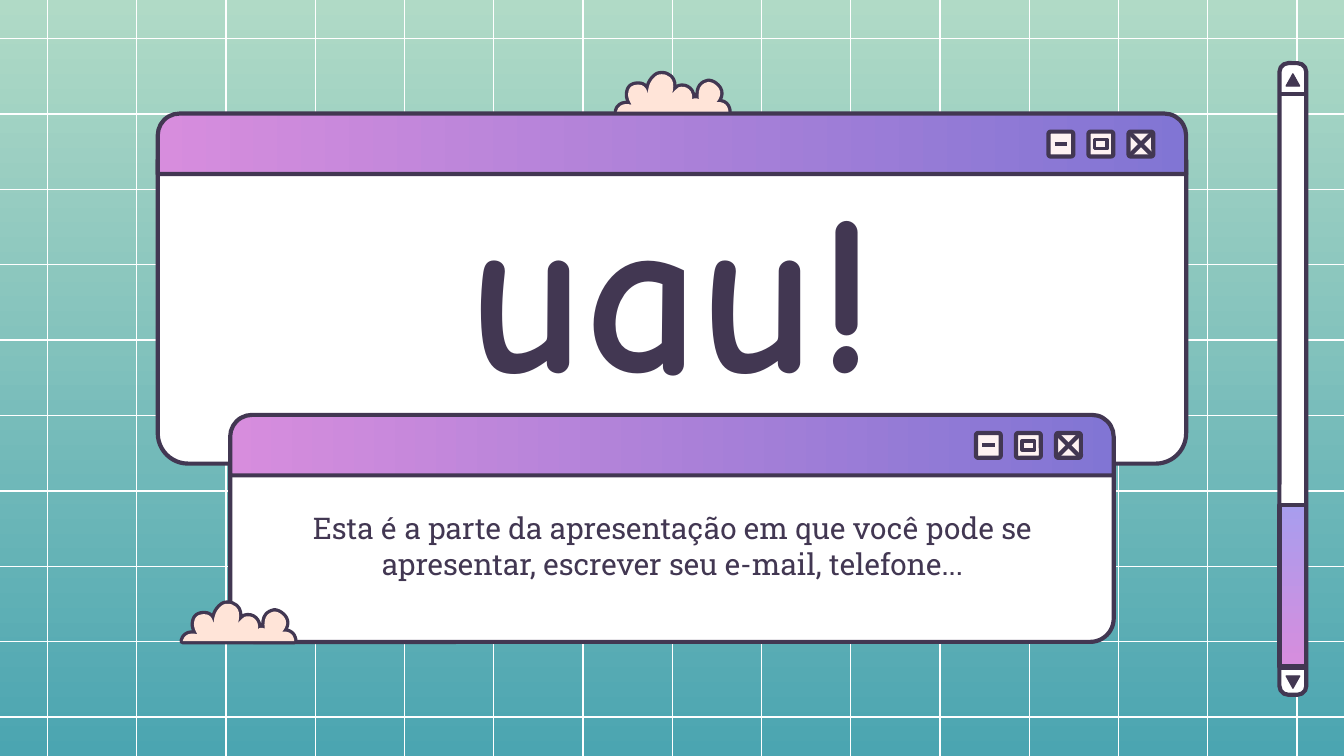
from lxml import etree
from pptx import Presentation
from pptx.dml.color import RGBColor
from pptx.enum import shapes, text
from pptx.oxml.ns import qn
from pptx.util import Inches, Pt

INK, WHITE, BUTTON, PEACH = "423752", "FFFFFF", "FEF2F2", "FFE4D8"
PINK, VIOLET, LILAC = "D78DDD", "8175D4", "A89DEE"
MINT, TEAL = "B0DAC6", "4BA5B1"
COLS, ROWS = 100, 56.25
SHAPE = shapes.MSO_SHAPE

CLOUD_START = (8.3, 0)
CLOUD_CURVES = [
    ((8.3, 0), (8.3, 0.8), (7.4, 0.7)),
    ((7.4, 0.7), (7.9, 1.2), (7.6, 1.7)),
    ((7.4, 2), (7.1, 2.2), (6.8, 2.2)),
    ((6.4, 2.1), (6, 1.9), (6.1, 0.9)),
    ((6.1, 0.9), (5.9, 1.1), (5.6, 0.9)),
    ((5.7, 1.5), (5.2, 2), (4.6, 1.8)),
    ((4.5, 1.7), (4.3, 1.6), (4.1, 1.3)),
    ((4.1, 1.3), (4.5, 2.4), (3.7, 2.7)),
    ((3.5, 2.8), (3.2, 2.8), (3, 2.7)),
    ((2.7, 2.5), (2.3, 2.1), (2.3, 1.2)),
    ((2.3, 1.2), (2.3, 2), (1.6, 2)),
    ((1.3, 2), (1, 1.9), (0.9, 1.6)),
    ((0.8, 1.3), (0.8, 1), (1.1, 0.5)),
    ((1.1, 0.5), (0.2, 0.8), (0, 0)),
]


def rgb(value):
    return RGBColor.from_string(value)


def apply(target, values):
    for name, value in values.items():
        setattr(target, name, value)


def trace(start, curves, steps=8):
    points = [start]
    for a, b, end in curves:
        first = points[-1]
        for i in range(1, steps + 1):
            t = i / steps
            weights = ((1 - t) ** 3, 3 * t * (1 - t) ** 2, 3 * t * t * (1 - t), t ** 3)
            points.append(tuple(
                sum(w * p[axis] for w, p in zip(weights, (first, a, b, end)))
                for axis in (0, 1)))
    return points


class Deck:
    stroke = 2.25
    frame = {
        "word_wrap": True,
        "auto_size": text.MSO_AUTO_SIZE.NONE,
        "vertical_anchor": text.MSO_ANCHOR.MIDDLE,
        "margin_left": Inches(0.1),
        "margin_right": Inches(0.1),
        "margin_top": Inches(0.1),
        "margin_bottom": Inches(0.1),
    }

    def __init__(self):
        self.prs = Presentation()
        apply(self.prs, {"slide_width": Inches(10), "slide_height": Inches(5.625)})
        self.cell = self.prs.slide_width / COLS
        self.s = self.prs.slides.add_slide(self.prs.slide_layouts[6])

    def grid(self, *cells):
        return [round(c * self.cell) for c in cells]

    def gradient(self, fill, colors, angle):
        fill.gradient()
        fill.gradient_angle = angle
        for stop, color, position in zip(fill.gradient_stops, colors, (0, 1)):
            stop.color.rgb = rgb(color)
            stop.position = position

    def outline(self, line, color, width):
        line.color.rgb = rgb(color)
        line.width = Pt(width)

    def style(self, sp, fill, width, angle=270):
        sp.shadow.inherit = False
        if fill is None:
            sp.fill.background()
        elif isinstance(fill, tuple):
            self.gradient(sp.fill, fill, angle)
        else:
            sp.fill.solid()
            sp.fill.fore_color.rgb = rgb(fill)
        if width:
            self.outline(sp.line, INK, width)
        else:
            sp.line.fill.background()

    def shape(self, kind, box, fill, adj=(), width=stroke, angle=270, rotation=0):
        sp = self.s.shapes.add_shape(kind, *self.grid(*box))
        for i, value in enumerate(adj):
            sp.adjustments[i] = value
        sp.rotation = rotation
        self.style(sp, fill, width, angle)

    def line(self, x1, y1, x2, y2, color=INK, width=stroke):
        sp = self.s.shapes.add_connector(
            shapes.MSO_CONNECTOR.STRAIGHT, *self.grid(x1, y1, x2, y2))
        self.outline(sp.line, color, width)
        etree.SubElement(sp._element.spPr, qn("a:effectLst"))

    def text(self, box, words, font):
        sp = self.s.shapes.add_textbox(*self.grid(*box))
        tf = sp.text_frame
        apply(tf, self.frame)
        p = tf.paragraphs[0]
        p.alignment = text.PP_ALIGN.CENTER
        r = p.add_run()
        r.text = words
        apply(r.font, font)
        r.font.color.rgb = rgb(INK)

    def cloud(self, x, base):
        points = [tuple(self.grid(x + px, base - py))
                  for px, py in trace(CLOUD_START, CLOUD_CURVES)]
        for fill, width in ((INK, 3.6), (PEACH, 0)):
            builder = self.s.shapes.build_freeform(*points[0], scale=1.0)
            builder.add_line_segments(points[1:], close=True)
            self.style(builder.convert_to_shape(), fill, width)

    def window(self, x, y, w, h, radius):
        body = h - 3.45
        self.shape(SHAPE.ROUND_2_SAME_RECTANGLE, (x, y + 3.45, w, body), WHITE, (0, radius))
        self.shape(SHAPE.ROUND_2_SAME_RECTANGLE, (x, y, w, 4.5), (VIOLET, PINK),
                   (0.36, 0), angle=180)
        top, side = y + 1.35, 1.85
        minimize, maximize, close = (x + w - 10.25 + 2.98 * i for i in range(3))
        for left in (minimize, maximize, close):
            self.shape(SHAPE.ROUNDED_RECTANGLE, (left, top, side, side), BUTTON, (0.09,))
        self.line(minimize + 0.46, top + side / 2, minimize + 1.39, top + side / 2)
        self.shape(SHAPE.RECTANGLE, (maximize + 0.46, top + 0.58, 0.93, 0.69), None, width=1.85)
        self.line(close, top, close + side, top + side)
        self.line(close + side, top, close, top + side)

    def background(self):
        self.gradient(self.s.background.fill, (MINT, TEAL), 270)
        for i in range(15):
            x = 3.54 + 6.64 * i
            self.line(x, 0, x, ROWS, WHITE, 0.75)
        for i in range(10):
            y = 2.87 + 5.61 * i
            self.line(0, y, COLS, y, WHITE, 0.75)

    def scrollbar(self, x, y, w, h):
        self.shape(SHAPE.ROUNDED_RECTANGLE, (x, y, w, h), WHITE, (0.33,))
        self.shape(SHAPE.RECTANGLE, (x, y + 32.9, w, 12), (LILAC, PINK))
        for top, divider, rotation in ((0.8, 2.3, 0), (h - 1.4, h - 2, 180)):
            self.shape(SHAPE.ISOSCELES_TRIANGLE, (x + 0.5, y + top, 1, 0.9), INK,
                       width=0.75, rotation=rotation)
            self.line(x - 0.1, y + divider, x + w + 0.1, y + divider)


def main():
    deck = Deck()
    deck.background()
    deck.scrollbar(95.2, 4.7, 2, 47)
    deck.window(11.74, 8.45, 76.52, 26.05, 0.1)
    deck.text((24.3, 14, 51.4, 14), "uau!",
              {"name": "Comic Neue", "size": Pt(121), "bold": True})
    deck.window(17.13, 30.87, 65.74, 16.9, 0.13)
    deck.text((22.2, 38.1, 55.7, 5),
              "Esta é a parte da apresentação em que você pode se apresentar, "
              "escrever seu e-mail, telefone...",
              {"name": "Roboto Slab", "size": Pt(16)})
    deck.cloud(13.6, 47.7)
    deck.cloud(45.9, 8.3)
    deck.prs.save("out.pptx")


if __name__ == "__main__":
    main()
